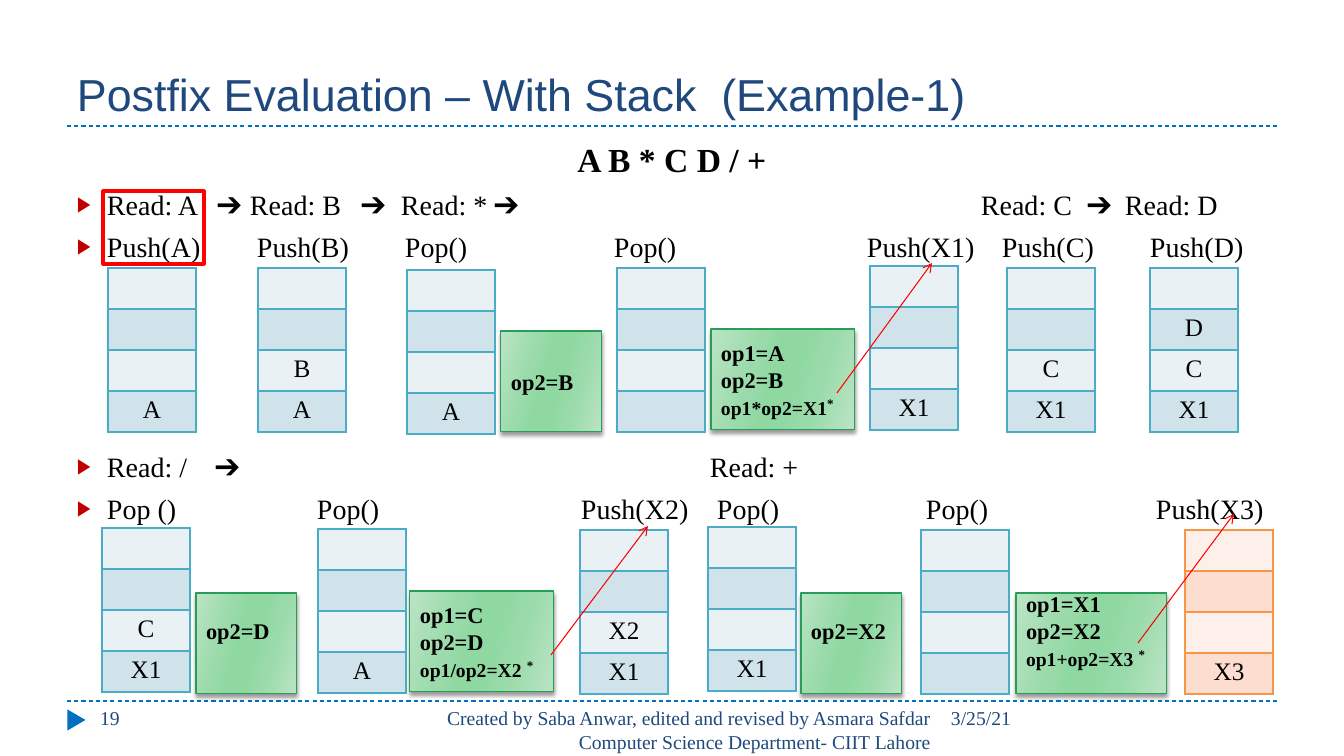
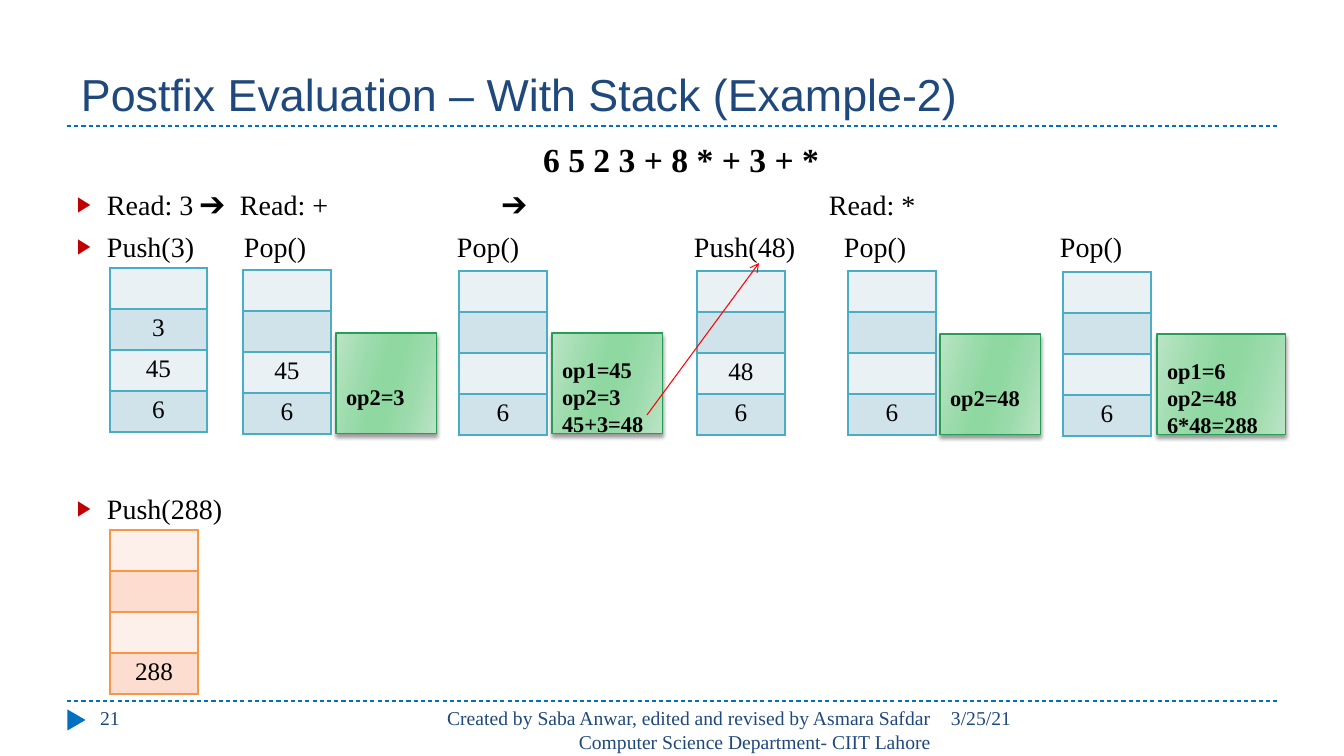
from dataclasses import dataclass

from lxml import etree
from pptx import Presentation
from pptx.dml.color import RGBColor
from pptx.enum.dml import MSO_LINE_DASH_STYLE as Dash
from pptx.enum.shapes import MSO_CONNECTOR as Connector, MSO_SHAPE as Shape
from pptx.enum.text import MSO_ANCHOR as Anchor, MSO_AUTO_SIZE as AutoSize, PP_ALIGN as Align
from pptx.oxml import parse_xml
from pptx.oxml.ns import nsdecls, qn
from pptx.util import Emu, Pt

# Scale and grid
EMU_PER_PX = 914400 / 100.8
SLIDE_W, SLIDE_H = 1344, 756
RULE_LEFT, RULE_RIGHT = 67, 1277
INSET_X, INSET_Y = 10, 5
BODY_LEFT, BODY_TOP, BODY_H = 67, 135, 544
BULLET_INDENT = 30
CELL_H, STACK_LEVELS = 41, 4
NOTE_H, NOTE_LINE = 101, 26

# Colours
BLACK = RGBColor(0x00, 0x00, 0x00)
NAVY = RGBColor(0x1F, 0x49, 0x7D)
BLUE = RGBColor(0x00, 0x70, 0xC0)
RED = RGBColor(0xFF, 0x00, 0x00)
BULLET_RED = RGBColor(0xC0, 0x00, 0x00)
NOTE_EDGE = RGBColor(0x27, 0x9D, 0x57)
NOTE_LIGHT = RGBColor(0xBB, 0xE4, 0xC5)
NOTE_MID = RGBColor(0x9B, 0xDB, 0xAB)
NOTE_DEEP = RGBColor(0x8F, 0xD8, 0xA1)
TEAL = RGBColor(0x4B, 0xAC, 0xC6)
TEAL_FILLS = (RGBColor(0xE9, 0xF1, 0xF5), RGBColor(0xD0, 0xE3, 0xEA))
ORANGE = RGBColor(0xF7, 0x96, 0x46)
ORANGE_FILLS = (RGBColor(0xFD, 0xEF, 0xE9), RGBColor(0xFC, 0xDD, 0xCF))
NOTE_STOPS = ((0, NOTE_LIGHT), (30, NOTE_MID), (45, NOTE_DEEP),
              (55, NOTE_DEEP), (73, NOTE_MID), (100, NOTE_LIGHT))

# Text formats
SERIF = "Times New Roman"
TITLE_FONT = {"name": "Arial", "size": Pt(32), "bold": False}
FOOTER_FONT = {"name": SERIF, "size": Pt(14)}
EXPRESSION_FONT = {"name": SERIF, "size": Pt(24), "bold": True}
STEP_FONT = {"name": SERIF, "size": Pt(20), "bold": False}
CELL_FONT = {"name": SERIF, "size": Pt(18), "bold": False}
NOTE_FONT = {"name": SERIF, "size": Pt(16), "bold": True}
RESULT_FONT = {**NOTE_FONT, "size": Pt(14)}

FOOTER_CREDIT = ("Created by Saba Anwar, edited and revised by Asmara Safdar "
                 "Computer Science Department- CIIT Lahore")
FOOTER_DATE = "3/25/21"


@dataclass(frozen=True)
class StepRow:
    """A bulleted line; each label starts at its own x on the slide."""
    labels: tuple[tuple[int, str], ...]
    space_before: int = 6


@dataclass(frozen=True)
class Stack:
    left: int
    top: int
    items: tuple[str, ...] = ()  # bottom first
    width: int = 88
    final: bool = False


@dataclass(frozen=True)
class Note:
    left: int
    top: int
    lines: tuple[str, ...]
    width: int = 101
    result: str = ""
    drop: int = 0  # lines kept free above (+) or below (-)


@dataclass(frozen=True)
class Arrow:
    x1: int
    y1: int
    x2: int
    y2: int


@dataclass(frozen=True)
class Box:
    left: int
    top: int
    width: int
    height: int


@dataclass(frozen=True)
class Example:
    title: str
    title_left: int
    number: str
    expression: str
    body_width: int
    rows: tuple[StepRow, ...]
    stacks: tuple[Stack, ...]
    notes: tuple[Note, ...]
    arrows: tuple[Arrow, ...]
    highlights: tuple[Box, ...] = ()


EXAMPLES = (
    Example(
        "Postfix Evaluation – With Stack  (Example-1)", 67, "19", "A B * C D / +", 1210,
        rows=(
            StepRow(((107, "Read: A"), (217, "➔"), (250, "Read: B"), (361, "➔"),
                     (401, "Read: *"), (494, "➔"), (981, "Read: C"), (1087, "➔"),
                     (1125, "Read: D"))),
            StepRow(((107, "Push(A)"), (257, "Push(B)"), (405, "Pop()"), (614, "Pop()"),
                     (867, "Push(X1)"), (1002, "Push(C)"), (1150, "Push(D)"))),
            StepRow(((107, "Read: /"), (215, "➔"), (710, "Read: +")), 133),
            StepRow(((107, "Pop ()"), (317, "Pop()"), (581, "Push(X2)"), (717, "Pop()"),
                     (926, "Pop()"), (1156, "Push(X3)"))),
        ),
        stacks=(
            Stack(108, 268, ("A",)), Stack(258, 268, ("A", "B")), Stack(407, 270, ("A",)),
            Stack(617, 268), Stack(870, 266, ("X1",)), Stack(1007, 268, ("X1", "C")),
            Stack(1150, 268, ("X1", "C", "D")), Stack(102, 528, ("X1", "C")),
            Stack(318, 529, ("A",)), Stack(580, 530, ("X1", "X2")),
            Stack(708, 527, ("X1",)), Stack(921, 530),
            Stack(1185, 530, ("X3",), final=True),
        ),
        notes=(
            Note(501, 331, ("op2=B",)),
            Note(711, 329, ("op1=A", "op2=B"), 144, "op1*op2=X1"),
            Note(196, 593, ("op2=D",), drop=-1),
            Note(410, 591, ("op1=C", "op2=D"), 144, "op1/op2=X2 "),
            Note(801, 593, ("op2=X2",), drop=-1),
            Note(1016, 593, ("op1=X1", "op2=X2"), 151, "op1+op2=X3 ", -1),
        ),
        arrows=(Arrow(837, 393, 932, 263), Arrow(551, 655, 648, 526),
                Arrow(1138, 643, 1234, 514)),
        highlights=(Box(103, 191, 101, 73),),
    ),
    Example(
        "Postfix Evaluation – With Stack (Example-2)", 71, "21", "6 5 2 3 + 8 * + 3 + *", 1228,
        rows=(
            StepRow(((107, "Read: 3"), (200, "➔"), (240, "Read: +"), (502, "➔"),
                     (829, "Read: *"))),
            StepRow(((107, "Push(3)"), (244, "Pop()"), (457, "Pop()"), (694, "Push(48)"),
                     (844, "Pop()"), (1060, "Pop()"))),
            StepRow(((107, "Push(288)"),), 163),
        ),
        stacks=(
            Stack(110, 268, ("6", "45", "3"), 97), Stack(243, 270, ("6", "45")),
            Stack(459, 271, ("6",)), Stack(697, 271, ("6", "48")),
            Stack(848, 271, ("6",)), Stack(1063, 272, ("6",)),
            Stack(110, 530, ("288",), final=True),
        ),
        notes=(
            Note(336, 333, ("op2=3",), drop=1),
            Note(552, 333, ("op1=45", "op2=3", "45+3=48"), 111, drop=1),
            Note(940, 334, ("op2=48",), drop=1),
            Note(1157, 334, ("op1=6", "op2=48", "6*48=288"), 129, drop=1),
        ),
        arrows=(Arrow(647, 415, 759, 263),),
    ),
)


# Helpers
def px(length: int) -> Emu:
    return Emu(round(length * EMU_PER_PX))


def place(left: int, top: int, width: int, height: int) -> tuple[Emu, ...]:
    return px(left), px(top), px(width), px(height)


def add_run(paragraph, text: str, formats: dict, color: RGBColor = BLACK):
    run = paragraph.add_run()
    run.text = text
    for attribute, value in formats.items():
        setattr(run.font, attribute, value)
    run.font.color.rgb = color
    return run


def prepare_frame(frame, anchor=Anchor.TOP, above: int = 0, below: int = 0) -> None:
    settings = {
        "word_wrap": True, "auto_size": AutoSize.NONE, "vertical_anchor": anchor,
        "margin_left": px(INSET_X), "margin_right": px(INSET_X),
        "margin_top": px(INSET_Y + above), "margin_bottom": px(INSET_Y + below),
    }
    for attribute, value in settings.items():
        setattr(frame, attribute, value)


def add_line(slide, ends: Arrow, color: RGBColor):
    line = slide.shapes.add_connector(
        Connector.STRAIGHT, px(ends.x1), px(ends.y1), px(ends.x2), px(ends.y2))
    line.line.color.rgb = color
    line.line.width = Pt(0.75)
    etree.SubElement(line._element.spPr, qn("a:effectLst"))
    return line


# Parts shared by the slides
def draw_frame(slide, example: Example) -> None:
    title = slide.shapes.title
    title.left, title.top, title.width, title.height = place(example.title_left, 17, 1210, 109)
    prepare_frame(title.text_frame, Anchor.BOTTOM)
    heading = title.text_frame.paragraphs[0]
    heading.alignment = Align.LEFT
    add_run(heading, example.title, TITLE_FONT, NAVY)

    for y in (126, 701):
        rule = add_line(slide, Arrow(RULE_LEFT, y, RULE_RIGHT, y), BLUE)
        rule.line.dash_style = Dash.DASH

    marker = slide.shapes.add_shape(Shape.ISOSCELES_TRIANGLE, *place(66, 711, 21, 18))
    marker.rotation = 90
    marker.shadow.inherit = False
    marker.fill.solid()
    marker.fill.fore_color.rgb = BLUE
    marker.line.fill.background()

    for text, left, width, alignment in (
            (FOOTER_DATE, 941, 337, Align.LEFT),
            (FOOTER_CREDIT, 426, 515, Align.RIGHT),
            (example.number, 90, 291, Align.LEFT)):
        footer = slide.shapes.add_textbox(*place(left, 701, width, 40))
        prepare_frame(footer.text_frame)
        paragraph = footer.text_frame.paragraphs[0]
        paragraph.alignment = alignment
        add_run(paragraph, text, FOOTER_FONT, NAVY)


# Expression and bulleted step rows
def add_bullet_and_tabs(paragraph, row: StepRow) -> None:
    properties = paragraph._p.get_or_add_pPr()
    properties.set("marL", str(px(BULLET_INDENT)))
    properties.set("indent", str(-px(BULLET_INDENT)))
    text_left = BODY_LEFT + INSET_X
    stops = "".join(f'<a:tab pos="{px(x - text_left)}" algn="l"/>' for x, _ in row.labels[1:])
    for xml in (f'<a:buClr {nsdecls("a")}><a:srgbClr val="{BULLET_RED}"/></a:buClr>',
                f'<a:buSzPct {nsdecls("a")} val="76000"/>',
                f'<a:buFont {nsdecls("a")} typeface="Arial"/>',
                f'<a:buChar {nsdecls("a")} char="▶"/>',
                f'<a:tabLst {nsdecls("a")}>{stops}</a:tabLst>'):
        properties.append(parse_xml(xml))


def draw_body(slide, example: Example) -> None:
    body = slide.shapes.add_textbox(*place(BODY_LEFT, BODY_TOP, example.body_width, BODY_H))
    prepare_frame(body.text_frame)
    expression = body.text_frame.paragraphs[0]
    expression.alignment = Align.CENTER
    expression.line_spacing = Pt(28)
    add_run(expression, example.expression, EXPRESSION_FONT)
    for row in example.rows:
        paragraph = body.text_frame.add_paragraph()
        add_bullet_and_tabs(paragraph, row)
        paragraph.line_spacing = Pt(24)
        paragraph.space_before = Pt(row.space_before)
        add_run(paragraph, "\t".join(label for _, label in row.labels), STEP_FONT)


# Stacks, notes and marks
def draw_stack(slide, stack: Stack) -> None:
    edge, fills = (ORANGE, ORANGE_FILLS) if stack.final else (TEAL, TEAL_FILLS)
    table = slide.shapes.add_table(STACK_LEVELS, 1, *place(
        stack.left, stack.top, stack.width, CELL_H * STACK_LEVELS)).table
    table.first_row = table.horz_banding = False
    for level in range(STACK_LEVELS):
        cell = table.cell(STACK_LEVELS - 1 - level, 0)
        properties = cell._tc.get_or_add_tcPr()
        for side in ("lnL", "lnR", "lnT", "lnB"):
            properties.append(parse_xml(
                f'<a:{side} {nsdecls("a")} w="{Pt(1)}"><a:solidFill>'
                f'<a:srgbClr val="{edge}"/></a:solidFill></a:{side}>'))
        cell.fill.solid()
        cell.fill.fore_color.rgb = fills[(level + 1) % 2]
        if level < len(stack.items):
            paragraph = cell.text_frame.paragraphs[0]
            paragraph.alignment = Align.CENTER
            add_run(paragraph, stack.items[level], CELL_FONT)


def draw_note(slide, note: Note) -> None:
    box = slide.shapes.add_shape(
        Shape.RECTANGLE, *place(note.left, note.top, note.width, NOTE_H))
    stops = "".join(f'<a:gs pos="{at * 1000}"><a:srgbClr val="{color}"/></a:gs>'
                    for at, color in NOTE_STOPS)
    properties = box._element.spPr
    properties.append(parse_xml(
        f'<a:gradFill {nsdecls("a")} rotWithShape="1"><a:gsLst>{stops}</a:gsLst>'
        '<a:lin ang="960000" scaled="0"/></a:gradFill>'))
    box.line.color.rgb = NOTE_EDGE
    box.line.width = Pt(0.75)
    properties.append(parse_xml(
        f'<a:effectLst {nsdecls("a")}><a:outerShdw blurRad="{Pt(3)}" dist="{Pt(2)}" '
        f'dir="5400000" rotWithShape="0"><a:srgbClr val="{BLACK}"><a:alpha val="40000"/>'
        '</a:srgbClr></a:outerShdw></a:effectLst>'))

    frame = box.text_frame
    prepare_frame(frame, Anchor.MIDDLE, max(note.drop, 0) * NOTE_LINE,
                  max(-note.drop, 0) * NOTE_LINE)
    lines = [(line, NOTE_FONT) for line in note.lines]
    if note.result:
        lines.append((note.result, RESULT_FONT))
    for index, (line, formats) in enumerate(lines):
        paragraph = frame.add_paragraph() if index else frame.paragraphs[0]
        paragraph.alignment = Align.LEFT
        add_run(paragraph, line, formats)
    if note.result:
        star = add_run(paragraph, "*", NOTE_FONT)
        star.font._element.set("baseline", "30000")


def draw_highlight(slide, area: Box) -> None:
    outline = slide.shapes.add_shape(
        Shape.RECTANGLE, *place(area.left, area.top, area.width, area.height))
    outline.shadow.inherit = False
    outline.fill.background()
    outline.line.color.rgb = RED
    outline.line.width = Pt(2.25)


def draw_arrow(slide, arrow: Arrow) -> None:
    line = add_line(slide, arrow, RED)
    etree.SubElement(line.line._get_or_add_ln(), qn("a:tailEnd"), type="arrow")


def draw_example(slide, example: Example) -> None:
    draw_frame(slide, example)
    draw_body(slide, example)
    for draw, parts in ((draw_stack, example.stacks), (draw_note, example.notes),
                        (draw_highlight, example.highlights), (draw_arrow, example.arrows)):
        for part in parts:
            draw(slide, part)


def main() -> None:
    deck = Presentation()
    deck.slide_width, deck.slide_height = px(SLIDE_W), px(SLIDE_H)
    title_only = deck.slide_layouts[5]
    for example in EXAMPLES:
        draw_example(deck.slides.add_slide(title_only), example)
    deck.save("out.pptx")


if __name__ == "__main__":
    main()
